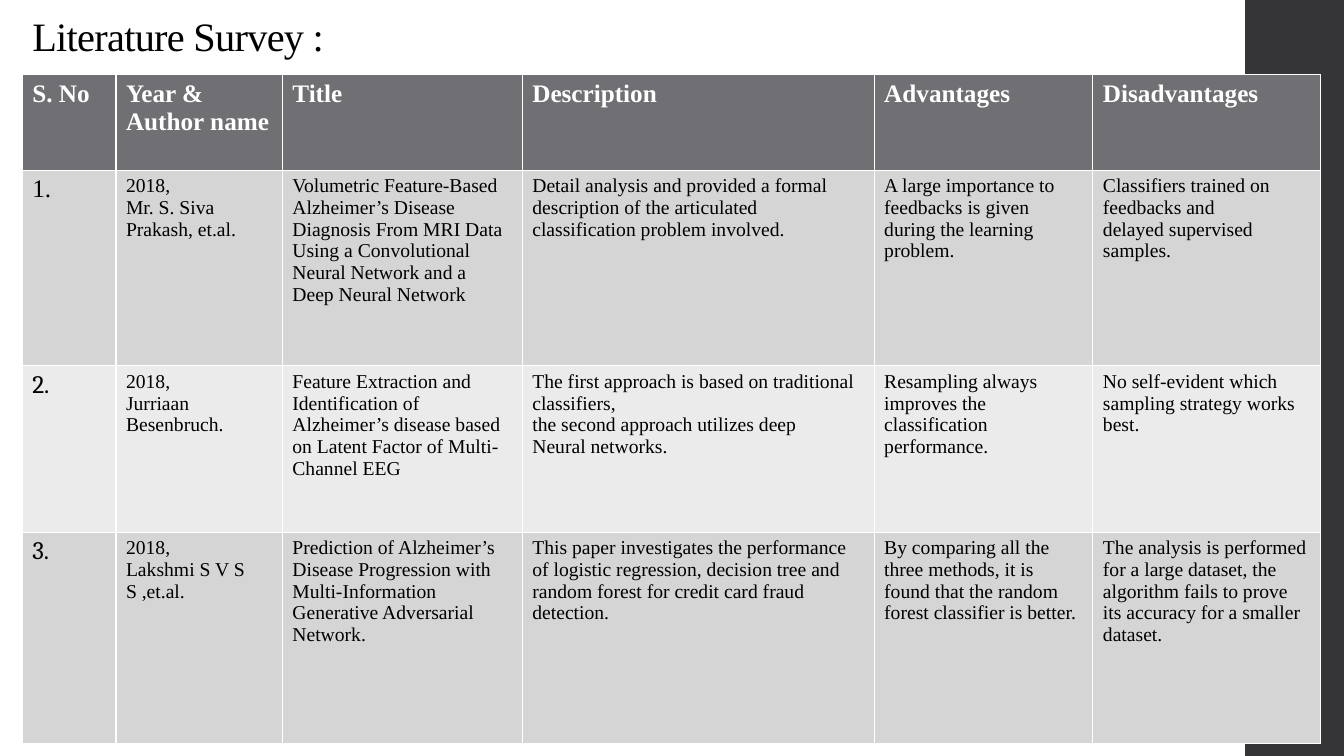
from pptx import Presentation
from pptx.dml.color import RGBColor
from pptx.enum.shapes import MSO_SHAPE
from pptx.enum.text import MSO_ANCHOR, MSO_AUTO_SIZE, PP_ALIGN
from pptx.util import Pt

PX = 9144
RECT = MSO_SHAPE.RECTANGLE
BOTTOM = MSO_ANCHOR.BOTTOM
FIXED = MSO_AUTO_SIZE.NONE
LEFT = PP_ALIGN.LEFT

WHITE = RGBColor(0xFF, 0xFF, 0xFF)
BLACK = RGBColor(0x00, 0x00, 0x00)
DARK = RGBColor(0x35, 0x35, 0x37)
GRAY = RGBColor(0x6F, 0x6F, 0x74)
MID = RGBColor(0xD5, 0xD5, 0xD6)
PALE = RGBColor(0xEB, 0xEB, 0xEB)

SERIF = "Times New Roman"
CAMBRIA = "Cambria"

WIDTHS = [93, 165, 238, 349, 217, 226]
HEIGHTS = [95, 194, 165, 210]
HEADS = ["S. No", "Year & Author name", "Title", "Description",
         "Advantages", "Disadvantages"]
PAPERS = [
    ["1.",
     "2018,\nMr. S. Siva Prakash, et.al.",
     "Volumetric Feature-Based Alzheimer’s Disease Diagnosis From MRI Data "
     "Using a Convolutional Neural Network and a Deep Neural Network",
     "Detail analysis and provided a formal description of the articulated "
     "classification problem involved.",
     "A large importance to feedbacks is given during the learning problem.",
     "Classifiers trained on feedbacks and\ndelayed supervised samples."],
    ["2.",
     "2018,\nJurriaan Besenbruch.",
     "Feature Extraction and Identification of Alzheimer’s disease based on "
     "Latent Factor of Multi-Channel EEG",
     "The first approach is based on traditional classifiers,\n"
     "the second approach utilizes deep\nNeural networks.",
     "Resampling always improves the classification performance.",
     "No self-evident which sampling strategy works best."],
    ["3.",
     "2018,\nLakshmi S V S S ,et.al.",
     "Prediction of Alzheimer’s Disease Progression with Multi-Information "
     "Generative Adversarial Network.",
     "This paper investigates the performance of logistic regression, "
     "decision tree and random forest for credit card fraud detection.",
     "By comparing all the three methods, it is found that the random forest "
     "classifier is better.",
     "The analysis is performed for a large dataset, the algorithm fails to "
     "prove its accuracy for a smaller dataset."],
]


def px(*sizes):
    return [size * PX for size in sizes]


def style(para, size, color, name=SERIF, bold=False):
    font = para.font
    font.size = Pt(size)
    font.name = name
    font.bold = bold
    font.color.rgb = color


def add_band(slide):
    band = slide.shapes.add_shape(RECT, *px(1235, 0, 98, 750))
    band.shadow.inherit = False
    band.fill.solid()
    band.fill.fore_color.rgb = DARK
    band.line.fill.background()


def set_title(slide, text):
    title = slide.shapes.title
    title.left, title.top, title.width, title.height = px(22, 14, 351, 51)
    frame = title.text_frame
    frame.text = text
    frame.auto_size = FIXED
    frame.vertical_anchor = BOTTOM
    para = frame.paragraphs[0]
    para.alignment = LEFT
    para.line_spacing = 0.9
    style(para, 28.8, BLACK)
    para.runs[0].font._element.set("spc", "-50")


def fill_cell(cell, text, fill, size, color, name=SERIF, bold=False):
    cell.fill.solid()
    cell.fill.fore_color.rgb = fill
    cell.text = text
    for para in cell.text_frame.paragraphs:
        style(para, size, color, name, bold)


def add_survey(slide):
    frame = slide.shapes.add_table(
        len(HEIGHTS), len(WIDTHS),
        *px(22, 74, sum(WIDTHS), sum(HEIGHTS)))
    table = frame.table
    for column, width in zip(table.columns, px(*WIDTHS)):
        column.width = width
    for row, height in zip(table.rows, px(*HEIGHTS)):
        row.height = height
    for col, head in enumerate(HEADS):
        fill_cell(table.cell(0, col), head, GRAY, 18, WHITE, bold=True)
    for row, paper in enumerate(PAPERS, 1):
        fill = MID if row % 2 else PALE
        for col, text in enumerate(paper):
            size = 14 if col else 18
            name = CAMBRIA if col == 0 and row > 1 else SERIF
            fill_cell(table.cell(row, col), text, fill, size, BLACK, name)


def main():
    deck = Presentation()
    deck.slide_width, deck.slide_height = px(1333, 750)
    slide = deck.slides.add_slide(deck.slide_layouts[5])
    slide.background.fill.solid()
    slide.background.fill.fore_color.rgb = WHITE
    add_band(slide)
    set_title(slide, "Literature Survey :")
    add_survey(slide)
    deck.save("out.pptx")


if __name__ == "__main__":
    main()
